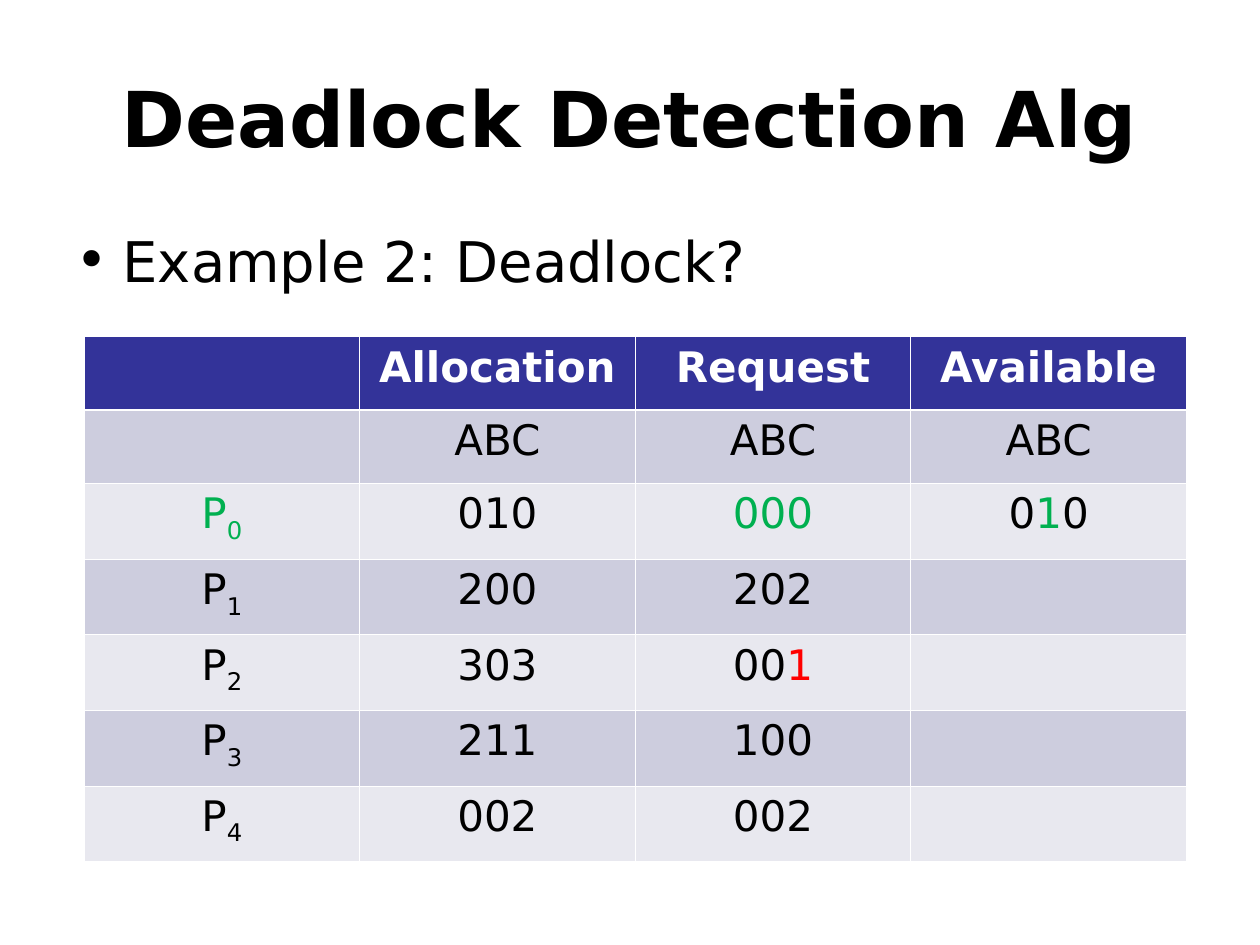
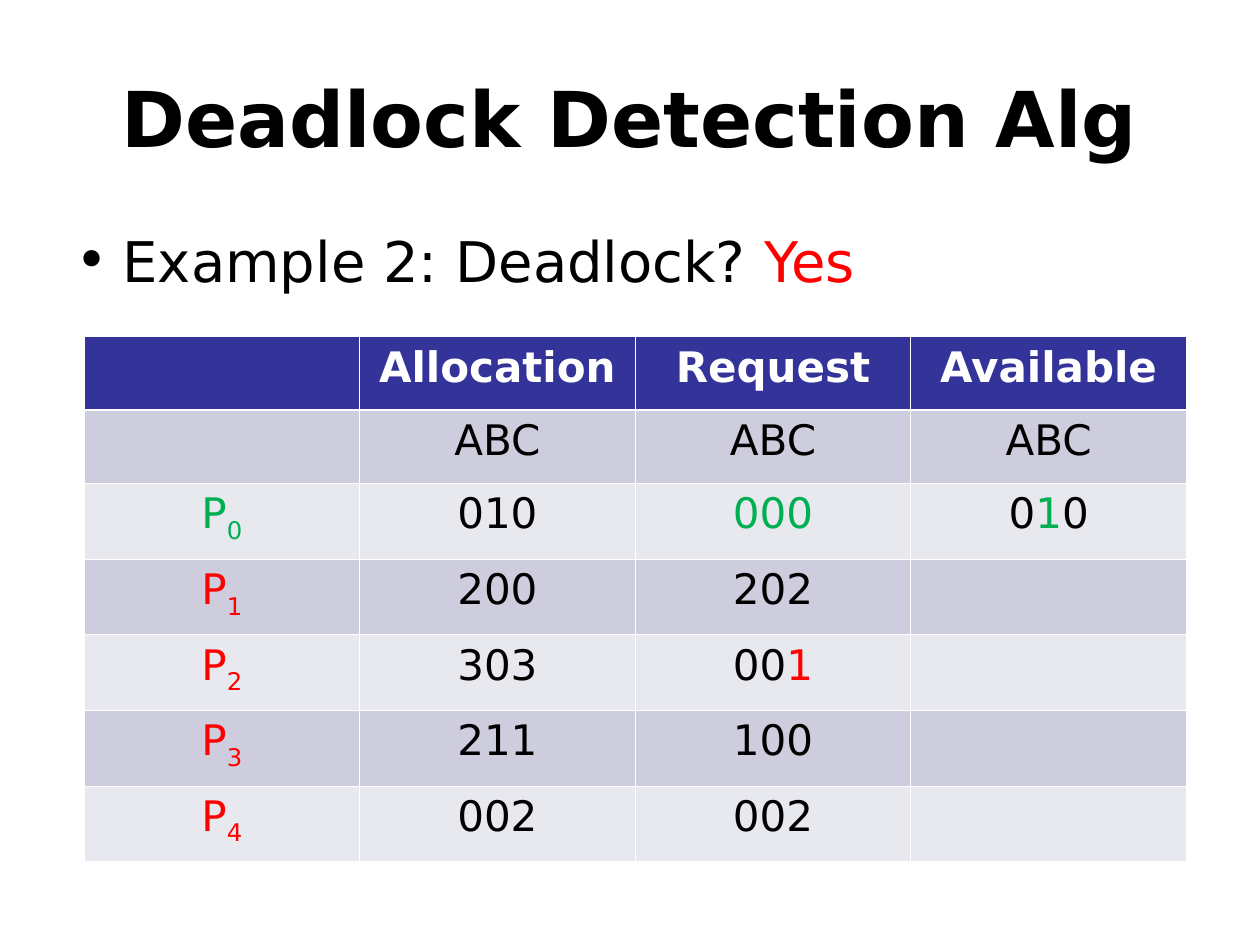
from dataclasses import dataclass
from lxml.etree import SubElement
from pptx import Presentation
from pptx.dml.color import RGBColor
from pptx.enum.text import MSO_ANCHOR, PP_ALIGN
from pptx.oxml.ns import qn
from pptx.util import Pt


@dataclass(frozen=True)
class Theme:
    font: str = "DejaVu Sans"
    text: str = "000000"
    white: str = "FFFFFF"
    header: str = "333399"
    bands: tuple = ("CDCDDE", "E8E8EF")
    granted: str = "00B050"
    blocked: str = "FF0000"
    title_size: int = 44
    body_size: int = 32
    table_size: int = 24
    thin: float = 0.45
    thick: float = 1.47


THEME = Theme()
SLIDE_SIZE = (720, 540)
TITLE_BOX = (0, 21.6, 720, 90)
BODY_BOX = (36, 126, 684, 414)
TABLE_BOX = (48, 192.4, 630, 300)
HEADER_ROW = 42
INDENT = 27
TITLE = "Deadlock Detection Alg"
QUESTION = "Example 2: Deadlock?"
HEADINGS = ("", "Allocation", "Request", "Available")
RESOURCES = ("", "ABC", "ABC", "ABC")


def apply(target, values):
    for name, value in values.items():
        setattr(target, name, value)


def add_spans(para, spans, size, bold=False):
    for text, color, *baseline in spans:
        span = para.add_run()
        span.text = text
        apply(span.font, {"name": THEME.font, "size": Pt(size), "bold": bold})
        span.font.color.rgb = RGBColor.from_string(color)
        if baseline:
            span._r.get_or_add_rPr().set("baseline", str(baseline[0] * 1000))


def add_text_frame(page, box, anchor):
    frame = page.shapes.add_textbox(*map(Pt, box)).text_frame
    apply(frame, {"word_wrap": True, "vertical_anchor": anchor})
    return frame


def add_title(page, box):
    para = add_text_frame(page, box, MSO_ANCHOR.MIDDLE).paragraphs[0]
    para.alignment = PP_ALIGN.CENTER
    add_spans(para, [(TITLE, THEME.text)], THEME.title_size, bold=True)


def add_question(page, box, spans):
    para = add_text_frame(page, box, MSO_ANCHOR.TOP).paragraphs[0]
    para.space_before = Pt(8)
    settings = para._p.get_or_add_pPr()
    for name, value in {"marL": INDENT, "indent": -INDENT}.items():
        settings.set(name, str(Pt(value)))
    SubElement(settings, qn("a:buFont"), typeface=THEME.font)
    SubElement(settings, qn("a:buChar"), char="•")
    add_spans(para, spans, THEME.body_size)


def add_borders(cell, widths):
    settings = cell._tc.get_or_add_tcPr()
    for side, width in zip("LRTB", widths):
        line = SubElement(settings, qn(f"a:ln{side}"), w=str(Pt(width)))
        fill = SubElement(line, qn("a:solidFill"))
        SubElement(fill, qn("a:srgbClr"), val=THEME.white)


def fill_cell(cell, spans, row):
    is_header = row == 0
    top = THEME.thick if row == 1 else THEME.thin
    bottom = THEME.thick if is_header else THEME.thin
    add_borders(cell, (THEME.thin, THEME.thin, top, bottom))
    color = THEME.header if is_header else THEME.bands[(row - 1) % 2]
    cell.fill.solid()
    cell.fill.fore_color.rgb = RGBColor.from_string(color)
    para = cell.text_frame.paragraphs[0]
    para.alignment = PP_ALIGN.CENTER
    add_spans(para, spans, THEME.table_size, is_header)


def plain(text, color=THEME.text):
    return [(text, color)] if text else []


def process_rows(waiting_color):
    black, green, red = THEME.text, THEME.granted, THEME.blocked
    allocations = ("010", "200", "303", "211", "002")
    requests = (
        plain("000", green),
        plain("202"),
        [("00", black), ("1", red)],
        plain("100"),
        plain("002"),
    )
    available = [("0", black), ("1", green), ("0", black)]
    rows = []
    for number, (allocation, request) in enumerate(zip(allocations, requests)):
        color = waiting_color if number else green
        process = [("P", color), (str(number), color, -25)]
        rows.append([process, plain(allocation), request, [] if number else available])
    return rows


def add_resource_table(page, box, waiting_color):
    left, top, width, height = box
    rows = [
        [plain(text, THEME.white) for text in HEADINGS],
        [plain(text) for text in RESOURCES],
        *process_rows(waiting_color),
    ]
    table = page.shapes.add_table(len(rows), len(HEADINGS), *map(Pt, box)).table
    for column in table.columns:
        column.width = Pt(width / len(HEADINGS))
    process_height = (height - 2 * HEADER_ROW) / (len(rows) - 2)
    for index, row in enumerate(rows):
        table.rows[index].height = Pt(HEADER_ROW if index < 2 else process_height)
        for column, spans in enumerate(row):
            fill_cell(table.cell(index, column), spans, index)


def add_example(deck, question, waiting_color):
    page = deck.slides.add_slide(deck.slide_layouts[6])
    add_title(page, TITLE_BOX)
    add_question(page, BODY_BOX, question)
    add_resource_table(page, TABLE_BOX, waiting_color)


def main():
    deck = Presentation()
    apply(deck, dict(zip(("slide_width", "slide_height"), map(Pt, SLIDE_SIZE))))
    add_example(deck, plain(QUESTION), THEME.text)
    answer = [(QUESTION + " ", THEME.text), ("Yes", THEME.blocked)]
    add_example(deck, answer, THEME.blocked)
    deck.save("out.pptx")


if __name__ == "__main__":
    main()
